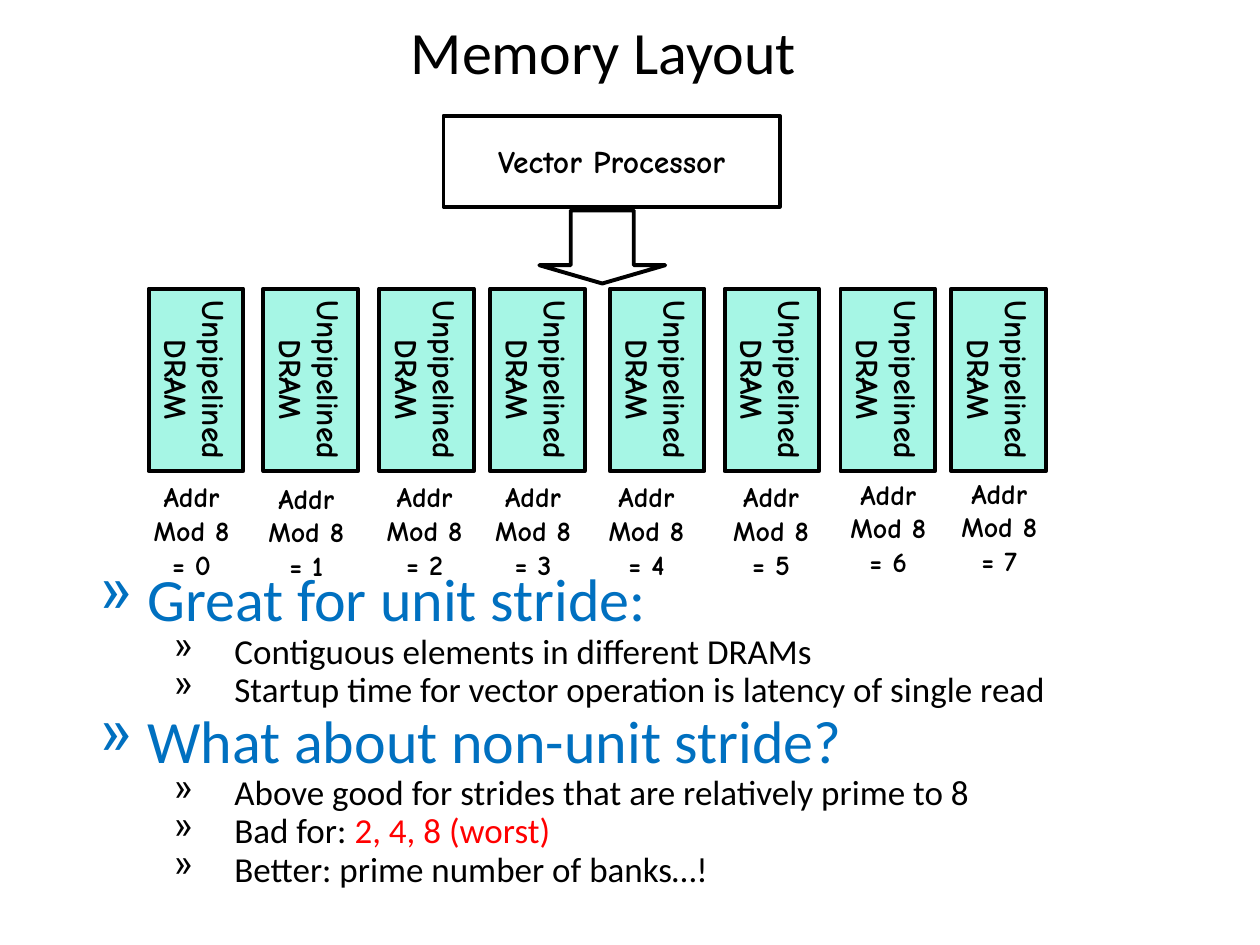
from lxml.etree import SubElement
from pptx import Presentation
from pptx.dml.color import RGBColor
from pptx.enum.shapes import MSO_SHAPE
from pptx.enum.text import MSO_ANCHOR, PP_ALIGN
from pptx.oxml.ns import qn
from pptx.util import Inches, Pt

BLACK, BLUE, RED, MINT = "000000", "0070C0", "FF0000", "A6F6E5"


def tint(hue):
    return RGBColor.from_string(hue)


class Deck:
    """Holds the style and current slide, placed on a grid of 100 columns by 75 rows."""

    cols, rows = 100, 75
    sans, hand = "Calibri", "Comic Neue"

    def __init__(self):
        self.show = Presentation()
        self.show.slide_width, self.show.slide_height = Inches(10), Inches(7.5)
        self.page = self.show.slides.add_slide(self.show.slide_layouts[5])

    def place(self, col, row, wide, high):
        x, y = self.show.slide_width / self.cols, self.show.slide_height / self.rows
        return [round(n) for n in (col * x, row * y, wide * x, high * y)]

    def add_text(self, para, text, size, face, hue=BLACK, bold=False):
        run = para.add_run()
        run.text = text
        font = run.font
        font.size, font.name, font.bold = Pt(size), face, bold
        font.color.rgb = tint(hue)

    def inset(self, frame):
        frame.margin_left = frame.margin_right = Inches(0.12)
        frame.margin_top = frame.margin_bottom = Inches(0.06)
        frame.word_wrap = True

    def stack(self, frame, lines, size):
        frame.word_wrap = False
        for i, line in enumerate(lines):
            para = frame.add_paragraph() if i else frame.paragraphs[0]
            para.alignment = PP_ALIGN.CENTER
            self.add_text(para, line, size, self.hand, bold=True)

    def title(self, text, *area):
        head = self.page.shapes.title
        head.left, head.top, head.width, head.height = self.place(*area)
        frame = head.text_frame
        self.inset(frame)
        frame.vertical_anchor = MSO_ANCHOR.MIDDLE
        para = frame.paragraphs[0]
        para.alignment = PP_ALIGN.CENTER
        self.add_text(para, text, 34.3, self.sans)

    def block(self, kind, lines, *area, fill=None, turn=False):
        left, top, wide, high = self.place(*area)
        if turn:
            left, top = left + (wide - high) // 2, top + (high - wide) // 2
            wide, high = high, wide
        shape = self.page.shapes.add_shape(kind, left, top, wide, high)
        shape.rotation = 90 if turn else 0
        shape.shadow.inherit = False
        if fill:
            shape.fill.solid()
            shape.fill.fore_color.rgb = tint(fill)
        else:
            shape.fill.background()
        shape.line.color.rgb = tint(BLACK)
        shape.line.width = Pt(2.25)
        shape.text_frame.vertical_anchor = MSO_ANCHOR.MIDDLE
        self.stack(shape.text_frame, lines, 18)
        return shape

    def label(self, lines, *area):
        box = self.page.shapes.add_textbox(*self.place(*area))
        self.stack(box.text_frame, lines, 16)

    def points(self, items, *area):
        frame = self.page.shapes.add_textbox(*self.place(*area)).text_frame
        self.inset(frame)
        for i, (level, runs) in enumerate(items):
            para = frame.add_paragraph() if i else frame.paragraphs[0]
            size, margin, hang = ((34.3, 0.38, 0.38), (20, 1.07, 0.48))[level]
            props = para._p.get_or_add_pPr()
            props.set("marL", str(Inches(margin)))
            props.set("indent", str(-Inches(hang)))
            SubElement(props, qn("a:buChar")).set("char", "»")
            para.level = level
            para.line_spacing = 0.75
            para.space_before = Pt(round(size * 0.19, 1) if i else 0)
            for text, hue in runs:
                self.add_text(para, text, size, self.sans, hue)

    def save(self):
        self.show.save("out.pptx")


def main():
    deck = Deck()
    deck.title("Memory Layout", 10.7, 1.1, 74.4, 5.8)
    deck.points([
        (0, [("Great for unit stride:", BLUE)]),
        (1, [("Contiguous elements in different DRAMs", BLACK)]),
        (1, [("Startup time for vector operation is latency of single read", BLACK)]),
        (0, [("What about non-unit stride?", BLUE)]),
        (1, [("Above good for strides that are relatively prime to 8", BLACK)]),
        (1, [("Bad for: ", BLACK), ("2, 4, 8 (worst)", RED)]),
        (1, [("Better: prime number of banks…!", BLACK)]),
    ], 6.7, 45.3, 89.2, 26.7)

    deck.block(MSO_SHAPE.RECTANGLE, ["Vector Processor"], 35.2, 9.2, 26.7, 7.2)
    arrow = deck.block(MSO_SHAPE.RIGHT_ARROW, [], 42.8, 16.7, 10, 5.8, turn=True)
    arrow.adjustments[0], arrow.adjustments[1] = 0.5, 0.25

    half = [11.8, 20.9, 30.1, 38.9]
    banks = half + [col + 36.6 for col in half]
    for col in banks:
        deck.block(MSO_SHAPE.RECTANGLE, ["Unpipelined", "DRAM"],
                   col, 22.9, 7.5, 14.5, fill=MINT, turn=True)

    spots = [(10.8, 37.6), (19.9, 37.7), (29.3, 37.6), (37.9, 37.6),
             (46.9, 37.6), (56.8, 37.6), (66.1, 37.4), (74.9, 37.3)]
    for i, (col, row) in enumerate(spots):
        deck.label(["Addr", "Mod 8", f"= {i}"], col, row, 8.8, 9)
    deck.save()


if __name__ == "__main__":
    main()
